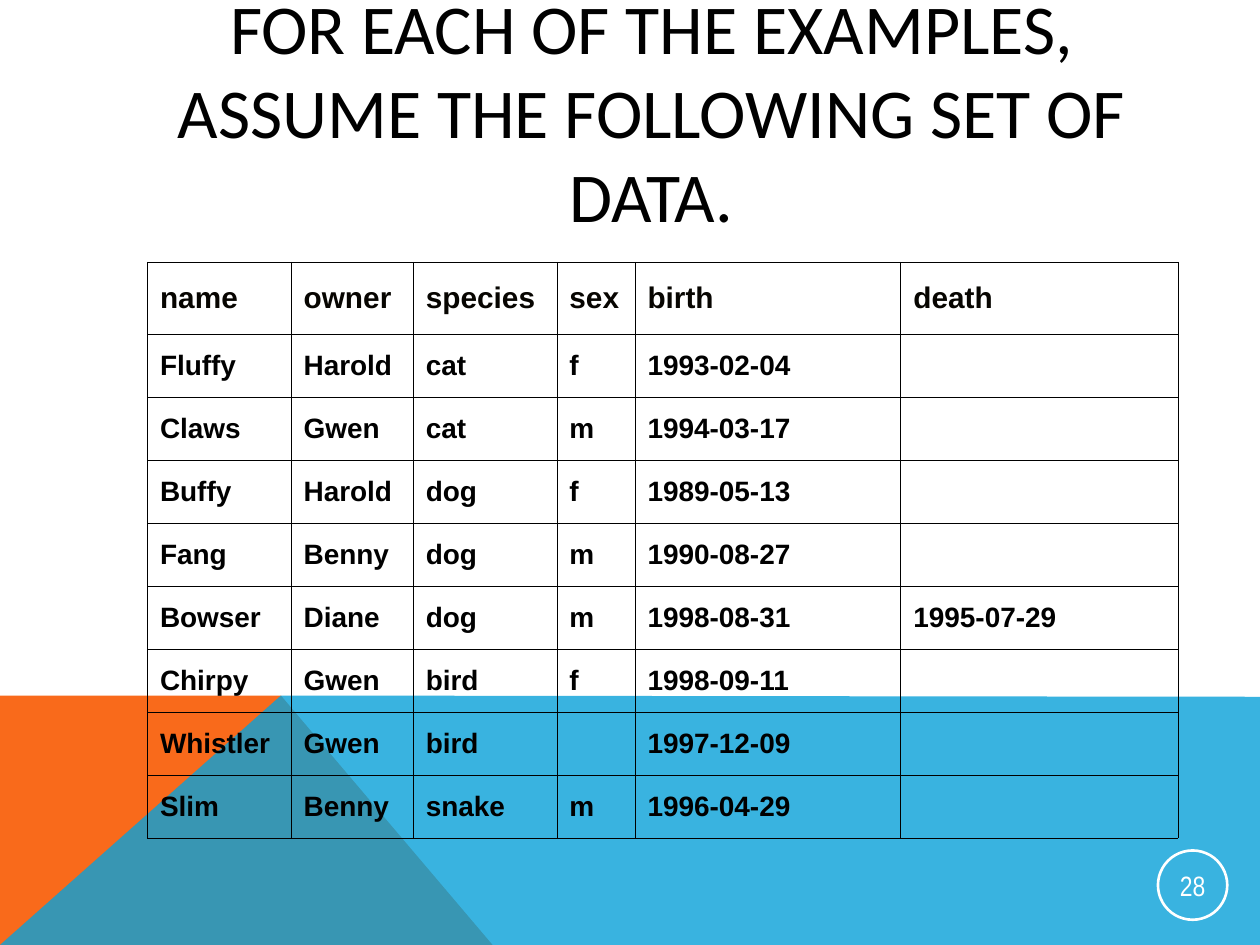
"""Build a slide with a table of pet records above a two-colour footer."""
from dataclasses import dataclass

from lxml import etree
from pptx import Presentation
from pptx.dml.color import RGBColor
from pptx.enum.shapes import MSO_SHAPE
from pptx.enum.text import MSO_ANCHOR, MSO_AUTO_SIZE, PP_ALIGN
from pptx.oxml.ns import qn
from pptx.util import Inches, Pt

MIDDLE = MSO_ANCHOR.MIDDLE
CENTER = PP_ALIGN.CENTER
OVAL = MSO_SHAPE.OVAL
NO_AUTOFIT = MSO_AUTO_SIZE.NONE

COLORS = {
    "orange": "F96A1B",
    "blue": "08A1D9",
    "black": "000000",
    "header": "070501",
    "white": "FFFFFF",
}
COLUMN_WIDTHS = (1.14, 0.97, 1.14, 0.62, 2.11, 2.2)
HEADER_HEIGHT, ROW_HEIGHT = 0.57, 0.5
BORDER_WIDTH = Pt(0.34)
PETS = (
    ("name", "owner", "species", "sex", "birth", "death"),
    ("Fluffy", "Harold", "cat", "f", "1993-02-04", ""),
    ("Claws", "Gwen", "cat", "m", "1994-03-17", ""),
    ("Buffy", "Harold", "dog", "f", "1989-05-13", ""),
    ("Fang", "Benny", "dog", "m", "1990-08-27", ""),
    ("Bowser", "Diane", "dog", "m", "1998-08-31", "1995-07-29"),
    ("Chirpy", "Gwen", "bird", "f", "1998-09-11", ""),
    ("Whistler", "Gwen", "bird", "", "1997-12-09", ""),
    ("Slim", "Benny", "snake", "m", "1996-04-29", ""),
)


@dataclass(frozen=True)
class TextStyle:
    font: str
    size: float
    color: str
    bold: bool = False


@dataclass(frozen=True)
class FooterPanel:
    points: tuple[tuple[float, float], ...]
    color: str
    opacity: int = 100


TITLE_STYLE = TextStyle("Calibri", 40, "black")
HEADER_STYLE = TextStyle("Arial", 17, "header", True)
BODY_STYLE = TextStyle("Arial", 16, "black", True)
NUMBER_STYLE = TextStyle("Arial Narrow", 16, "white")
FOOTER_PANELS = (
    FooterPanel(((0, 7.5), (0, 5.52), (2.23, 5.52), (3.91, 7.5)), "orange"),
    FooterPanel(((0, 7.5), (2.23, 5.52), (10, 5.53), (10, 7.5)), "blue", 80),
)


def color(name: str) -> RGBColor:
    """Return the named palette colour."""
    return RGBColor.from_string(COLORS[name])


def write_text(frame, text: str, style: TextStyle) -> None:
    """Set the text of a frame and format its runs."""
    frame.text = text
    for para in frame.paragraphs:
        for span in para.runs:
            span.font.name = style.font
            span.font.size = Pt(style.size)
            span.font.bold = style.bold
            span.font.color.rgb = color(style.color)


def draw_panel(page, panel: FooterPanel) -> None:
    """Draw one footer polygon."""
    corners = [(Inches(x), Inches(y)) for x, y in panel.points]
    builder = page.shapes.build_freeform(*corners[0])
    builder.add_line_segments(corners[1:], close=True)
    shape = builder.convert_to_shape()
    shape.shadow.inherit = False
    shape.fill.solid()
    shape.fill.fore_color.rgb = color(panel.color)
    shape.line.fill.background()
    if panel.opacity < 100:
        tint = shape.fill._xPr.find(".//" + qn("a:srgbClr"))
        etree.SubElement(tint, qn("a:alpha"), val=str(panel.opacity * 1000))


def draw_title(page) -> None:
    """Place and format the title placeholder."""
    title = page.shapes.title
    title.left, title.top = Inches(0.92), Inches(0.17)
    title.width, title.height = Inches(8.5), Inches(1.42)
    frame = title.text_frame
    frame.auto_size = NO_AUTOFIT
    frame.vertical_anchor = MIDDLE
    write_text(
        frame,
        "FOR EACH OF THE EXAMPLES, ASSUME THE FOLLOWING SET OF DATA.",
        TITLE_STYLE,
    )
    frame.paragraphs[0].alignment = CENTER


def draw_borders(cell) -> None:
    """Outline all four sides of a table cell."""
    properties = cell._tc.get_or_add_tcPr()
    for side in ("lnL", "lnR", "lnT", "lnB"):
        line = etree.SubElement(properties, qn(f"a:{side}"), w=str(BORDER_WIDTH))
        fill = etree.SubElement(line, qn("a:solidFill"))
        etree.SubElement(fill, qn("a:srgbClr"), val=COLORS["black"])


def draw_table(page) -> None:
    """Draw the pet records."""
    height = HEADER_HEIGHT + ROW_HEIGHT * (len(PETS) - 1)
    table = page.shapes.add_table(
        len(PETS), len(COLUMN_WIDTHS), Inches(1.17), Inches(2.08),
        Inches(sum(COLUMN_WIDTHS)), Inches(height),
    ).table
    table.first_row = False
    table.horz_banding = False
    for column, width in zip(table.columns, COLUMN_WIDTHS):
        column.width = Inches(width)
    for index, (row, record) in enumerate(zip(table.rows, PETS)):
        row.height = Inches(ROW_HEIGHT if index else HEADER_HEIGHT)
        for cell, text in zip(row.cells, record):
            draw_borders(cell)
            cell.fill.background()
            cell.vertical_anchor = MIDDLE
            write_text(cell.text_frame, text, BODY_STYLE if index else HEADER_STYLE)


def draw_page_number(page) -> None:
    """Draw the circled page number."""
    badge = page.shapes.add_shape(
        OVAL, Inches(9.19), Inches(6.75), Inches(0.55), Inches(0.55)
    )
    badge.shadow.inherit = False
    badge.fill.background()
    badge.line.color.rgb = color("white")
    badge.line.width = Pt(1.5)
    frame = badge.text_frame
    frame.margin_left = frame.margin_right = Inches(0.01)
    frame.margin_top = frame.margin_bottom = Inches(0.01)
    frame.vertical_anchor = MIDDLE
    write_text(frame, "28", NUMBER_STYLE)
    frame.paragraphs[0].alignment = CENTER


def main() -> None:
    """Build and save the deck."""
    deck = Presentation()
    deck.slide_width, deck.slide_height = Inches(10), Inches(7.5)
    page = deck.slides.add_slide(deck.slide_layouts[5])
    for panel in FOOTER_PANELS:
        draw_panel(page, panel)
    draw_title(page)
    draw_table(page)
    draw_page_number(page)
    deck.save("out.pptx")


if __name__ == "__main__":
    main()
